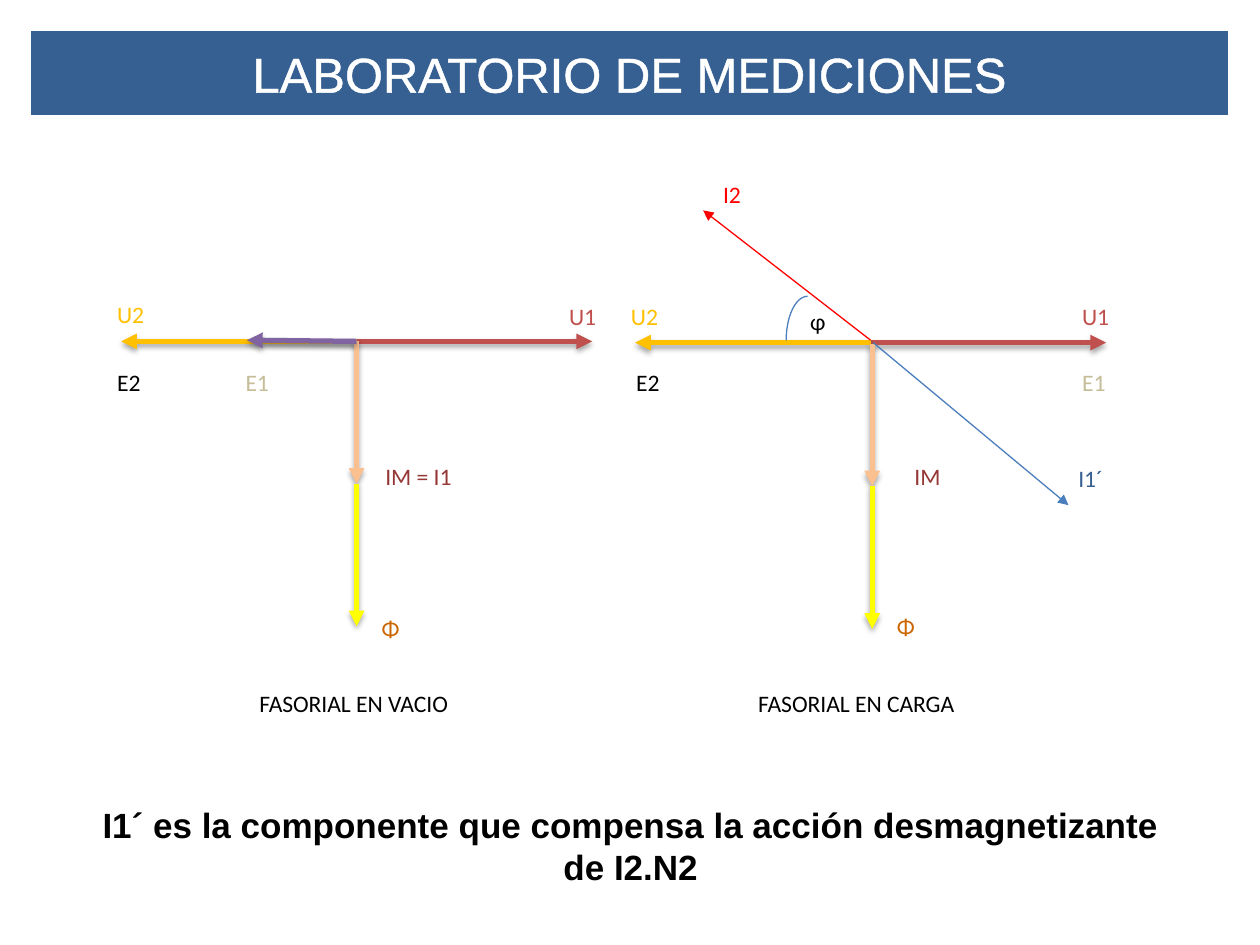
from dataclasses import dataclass

from lxml.etree import SubElement
from pptx import Presentation
from pptx.dml.color import RGBColor
from pptx.enum.shapes import MSO_CONNECTOR, MSO_SHAPE
from pptx.enum.text import MSO_ANCHOR, MSO_AUTO_SIZE, PP_ALIGN
from pptx.oxml.ns import qn
from pptx.util import Pt


@dataclass(frozen=True)
class Theme:
    """Colours, fonts, type sizes and line widths of the slide."""
    white: str = "FFFFFF"
    black: str = "000000"
    banner: str = "376092"
    primary: str = "C0504D"
    secondary: str = "FFC000"
    magnetizing: str = "FAC090"
    magnetizing_label: str = "953735"
    flux: str = "FFFF00"
    flux_label: str = "CC6600"
    induced: str = "8064A2"
    induced_label: str = "C4BD97"
    load: str = "FF0000"
    reaction: str = "4B7EBC"
    label_font: str = "Calibri"
    text_font: str = "Arial"
    label_size: float = 13.5
    note_size: float = 20
    title_size: float = 28
    thick: float = 3
    thin: float = 0.75


THEME = Theme()


def rgb(color):
    """Turn a hex string into a colour."""
    return RGBColor.from_string(color)


def style_paragraph(para, font, size, color, bold=False, align=None):
    """Set the font and alignment of a paragraph."""
    para.alignment = align
    para.font.name = font
    para.font.size = Pt(size)
    para.font.bold = bold
    para.font.color.rgb = rgb(color)


def add_text(page, text, left, top, width, height=24, color=THEME.black,
             font=THEME.label_font, size=THEME.label_size, bold=False, align=None):
    """Add a wrapping text box with one paragraph."""
    box = page.shapes.add_textbox(Pt(left), Pt(top), Pt(width), Pt(height))
    box.text_frame.word_wrap = True
    box.text_frame.auto_size = MSO_AUTO_SIZE.SHAPE_TO_FIT_TEXT
    para = box.text_frame.paragraphs[0]
    para.add_run().text = text
    style_paragraph(para, font, size, color, bold, align)


def add_arrow(page, start, end, color, width=THEME.thick, shadow=True):
    """Add a straight phasor with a triangular head at its end."""
    arrow = page.shapes.add_connector(
        MSO_CONNECTOR.STRAIGHT, *(Pt(value) for value in (*start, *end)))
    arrow.line.color.rgb = rgb(color)
    arrow.line.width = Pt(width)
    properties = arrow._element.spPr
    SubElement(properties.find(qn("a:ln")), qn("a:tailEnd"), type="triangle")
    effects = SubElement(properties, qn("a:effectLst"))
    if shadow:
        outer = SubElement(effects, qn("a:outerShdw"), blurRad=str(Pt(3.1)),
                           dist=str(Pt(1.8)), dir="5400000", rotWithShape="0")
        shade = SubElement(outer, qn("a:srgbClr"), val=THEME.black)
        SubElement(shade, qn("a:alpha"), val="35000")


def add_axes(page, horizontal, vertical):
    """Add the voltage, magnetizing current and flux phasors of a diagram."""
    x, y = horizontal
    reach, drop = 134.6, 81.4
    add_arrow(page, horizontal, (x + reach, y), THEME.primary)
    add_arrow(page, horizontal, (x - reach, y), THEME.secondary)
    x, y = vertical
    add_arrow(page, vertical, (x, y + drop), THEME.magnetizing)
    add_arrow(page, (x, y + drop), (x, y + 2 * drop), THEME.flux)


def add_angle(page, left, top, width, height):
    """Add the arc that marks the phase angle."""
    arc = page.shapes.add_shape(MSO_SHAPE.ARC, Pt(left), Pt(top), Pt(width), Pt(height))
    arc.rotation = 270
    arc.shadow.inherit = False
    arc.fill.background()
    arc.line.color.rgb = rgb(THEME.reaction)
    arc.line.width = Pt(THEME.thin)


def add_banner(page, text):
    """Add the title bar with outlined text."""
    bar = page.shapes.add_shape(MSO_SHAPE.RECTANGLE, Pt(16.6), Pt(16.6), Pt(686.2), Pt(50.4))
    bar.shadow.inherit = False
    bar.fill.solid()
    bar.fill.fore_color.rgb = rgb(THEME.banner)
    bar.line.color.rgb = rgb(THEME.white)
    bar.line.width = Pt(2)
    bar.text_frame.vertical_anchor = MSO_ANCHOR.MIDDLE
    para = bar.text_frame.paragraphs[0]
    span = para.add_run()
    span.text = text
    style_paragraph(para, THEME.text_font, THEME.title_size, THEME.white, align=PP_ALIGN.CENTER)
    outline = SubElement(span._r.get_or_add_rPr(), qn("a:ln"), w=str(Pt(1.45)))
    fill = SubElement(outline, qn("a:solidFill"))
    SubElement(fill, qn("a:srgbClr"), val=THEME.white)
    span.font.color.rgb = rgb(THEME.white)


def add_labels(page, labels):
    """Add the phasor names and captions of a diagram."""
    for text, left, top, width, color in labels:
        add_text(page, text, left, top, width, color=color)


def add_no_load_diagram(page):
    """Draw the phasor diagram without load."""
    origin = (203.8, 195.1)
    add_axes(page, origin, origin)
    add_arrow(page, origin, (141.1, 194.4), THEME.induced)
    add_labels(page, (
        ("U1", 318.2, 169.2, 166, THEME.primary),
        ("U2", 59.8, 167.8, 163, THEME.secondary),
        ("E2", 59.8, 206.6, 110, THEME.black),
        ("E1", 133.2, 206.6, 140, THEME.induced_label),
        ("Φ", 211, 347, 143, THEME.flux_label),
        ("IM = I1", 213.1, 260.6, 117, THEME.magnetizing_label),
        ("FASORIAL EN VACIO", 141.1, 390.2, 177, THEME.black),
    ))


def add_load_diagram(page):
    """Draw the phasor diagram under load."""
    add_axes(page, (497.5, 195.8), (498.4, 196.6))
    add_arrow(page, (497.5, 194.4), (401.8, 120.2), THEME.load, THEME.thin, False)
    add_arrow(page, (499, 195.8), (610.6, 288.7), THEME.reaction, THEME.thin, False)
    add_angle(page, 436.3, 182.2, 50.4, 24.5)
    add_labels(page, (
        ("Φ", 505.4, 346.3, 143, THEME.flux_label),
        ("IM", 515.5, 260.6, 117, THEME.magnetizing_label),
        ("U2", 353.5, 169.2, 163, THEME.secondary),
        ("U1", 611.3, 169.2, 40, THEME.primary),
        ("E2", 356.4, 206.6, 110, THEME.black),
        ("E1", 611.3, 206.6, 108, THEME.induced_label),
        ("I2", 406.1, 99.4, 87, THEME.load),
        ("I1´", 609.1, 261.4, 61, THEME.banner),
        ("φ", 455.8, 172.1, 129, THEME.black),
        ("FASORIAL EN CARGA", 426.2, 390.2, 197, THEME.black),
    ))


def main():
    """Build and save the deck."""
    deck = Presentation()
    deck.slide_width, deck.slide_height = Pt(720), Pt(540)
    page = deck.slides.add_slide(deck.slide_layouts[6])
    add_no_load_diagram(page)
    add_load_diagram(page)
    add_text(page, "I1´ es la componente que compensa la acción desmagnetizante de I2.N2",
             49.7, 455.8, 621.4, 55.4, font=THEME.text_font, size=THEME.note_size,
             bold=True, align=PP_ALIGN.CENTER)
    add_banner(page, "LABORATORIO DE MEDICIONES")
    deck.save("out.pptx")


if __name__ == "__main__":
    main()
